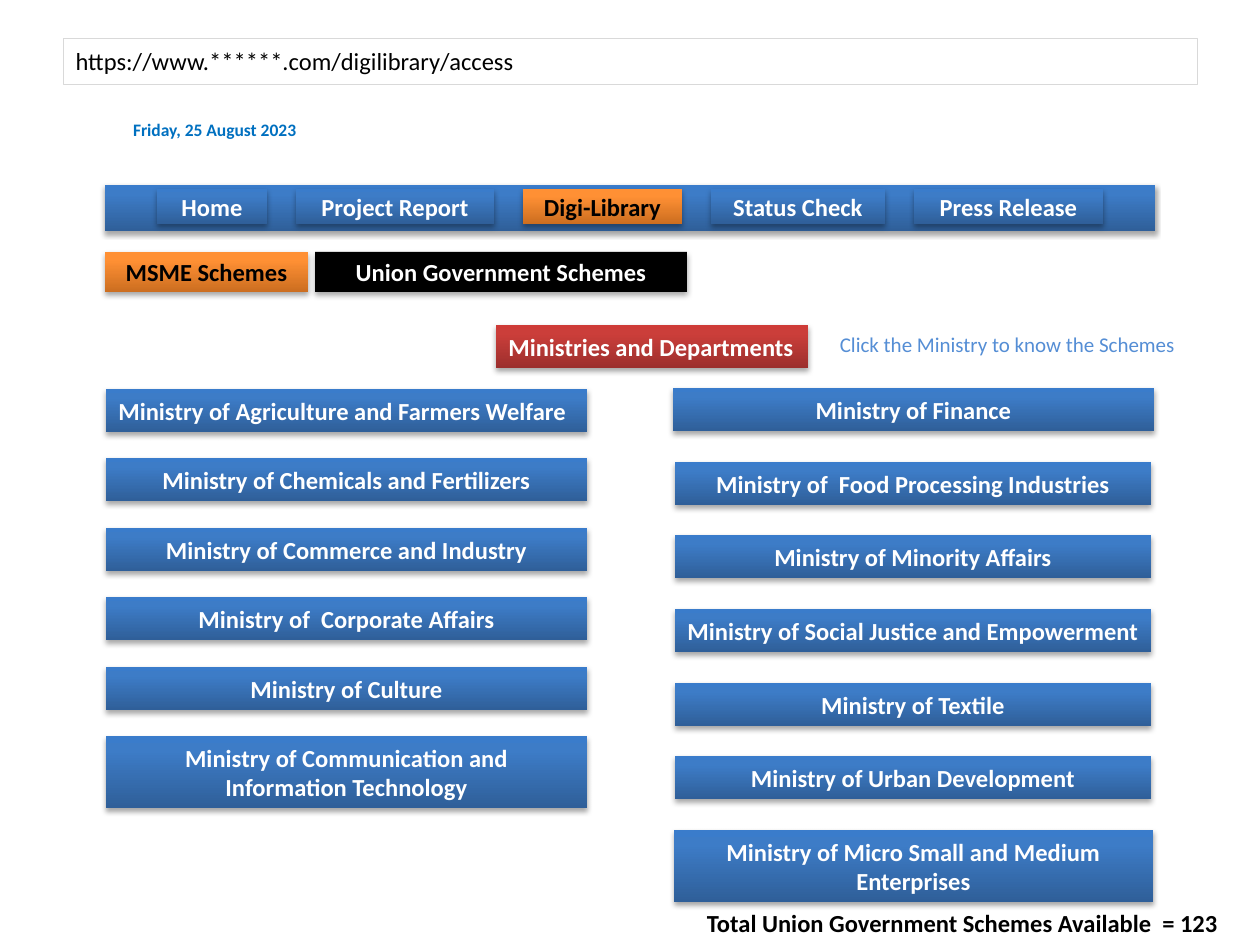
from dataclasses import dataclass
from typing import NamedTuple

from lxml.etree import SubElement
from pptx import Presentation
from pptx.dml.color import RGBColor
from pptx.enum.shapes import MSO_SHAPE
from pptx.enum.text import MSO_ANCHOR, PP_ALIGN
from pptx.oxml.ns import qn
from pptx.util import Emu, Pt

PX_PER_INCH = 126
TITLE_ONLY_LAYOUT = 5


class Box(NamedTuple):
    left: int
    top: int
    width: int
    height: int


class Gradient(NamedTuple):
    bottom: str
    middle: str
    top: str


@dataclass(frozen=True)
class Theme:
    font: str = "Calibri"
    body: int = 14
    hint: int = 12
    date: int = 10
    black: str = "000000"
    white: str = "FFFFFF"
    date_blue: str = "0070C0"
    hint_blue: str = "558ED5"
    border: str = "D9D9D9"
    blue: Gradient = Gradient("2F5F99", "3D7CC7", "3A7CCB")
    orange: Gradient = Gradient("CC6E20", "FF9034", "FF9136")
    red: Gradient = Gradient("9C2F2D", "CB3E3A", "CE3B37")


THEME = Theme()


class Tab(NamedTuple):
    label: str
    width: int
    active: bool = False


class Ministry(NamedTuple):
    name: str
    width: int = 481
    align: PP_ALIGN = PP_ALIGN.CENTER


class Column(NamedTuple):
    centre: int
    first_top: int
    last_top: int
    ministries: list[Ministry]


class Label(NamedTuple):
    text: str
    box: Box
    size: int
    color: str
    bold: bool
    anchor: MSO_ANCHOR = MSO_ANCHOR.TOP


TABS = [
    Tab("Home", 110),
    Tab("Project Report", 198),
    Tab("Digi-Library", 159, active=True),
    Tab("Status Check", 174),
    Tab("Press Release", 189),
]
TABS_LEFT, TABS_TOP, TAB_HEIGHT, TAB_GAP = 157, 189, 35, 29

COLUMNS = [
    Column(346, 389, 736, [
        Ministry("Ministry of Agriculture and Farmers Welfare", align=PP_ALIGN.LEFT),
        Ministry("Ministry of Chemicals and Fertilizers"),
        Ministry("Ministry of Commerce and Industry"),
        Ministry("Ministry of  Corporate Affairs"),
        Ministry("Ministry of Culture"),
        Ministry("Ministry of Communication and\nInformation Technology"),
    ]),
    Column(913, 388, 830, [
        Ministry("Ministry of Finance"),
        Ministry("Ministry of  Food Processing Industries", 476),
        Ministry("Ministry of Minority Affairs", 476),
        Ministry("Ministry of Social Justice and Empowerment", 476),
        Ministry("Ministry of Textile", 476),
        Ministry("Ministry of Urban Development", 476),
        Ministry("Ministry of Micro Small and Medium\nEnterprises", 479),
    ]),
]
ONE_LINE_HEIGHT, TWO_LINE_HEIGHT = 43, 72

LABELS = [
    Label("Friday, 25 August 2023", Box(93, 112, 243, 35), THEME.date,
          THEME.date_blue, True, MSO_ANCHOR.MIDDLE),
    Label("Click the Ministry to know the Schemes", Box(809, 325, 397, 43),
          THEME.hint, THEME.hint_blue, False),
    Label("Total Union Government Schemes Available  = 123",
          Box(665, 902, 595, 43), THEME.body, THEME.black, True),
]


def px(length: int) -> Emu:
    return Emu(round(length * 914400 / PX_PER_INCH))


def emu_box(box: Box) -> list[Emu]:
    return [px(length) for length in box]


def write_text(frame, text: str, color: str, size: int = THEME.body,
               bold: bool = True, align: PP_ALIGN = PP_ALIGN.CENTER) -> None:
    frame.word_wrap = True
    frame.text = text
    for paragraph in frame.paragraphs:
        paragraph.alignment = align
        paragraph.font.name = THEME.font
        paragraph.font.size = Pt(size)
        paragraph.font.bold = bold
        paragraph.font.color.rgb = RGBColor.from_string(color)


def fill_gradient(shape, gradient: Gradient) -> None:
    shape.fill.gradient()
    shape.fill.gradient_angle = 90
    stops = shape.element.spPr.find(".//" + qn("a:gsLst"))
    for stop in list(stops):
        stops.remove(stop)
    for position, color in zip((0, 80000, 100000), gradient):
        stop = SubElement(stops, qn("a:gs"), pos=str(position))
        SubElement(stop, qn("a:srgbClr"), val=color)


def add_soft_shadow(shape) -> None:
    shape.shadow.inherit = False
    effects = shape.element.spPr.find(qn("a:effectLst"))
    shadow = SubElement(effects, qn("a:outerShdw"), blurRad="40000",
                        dist="23000", dir="5400000", rotWithShape="0")
    color = SubElement(shadow, qn("a:srgbClr"), val=THEME.black)
    SubElement(color, qn("a:alpha"), val="35000")


def add_button(slide, box: Box, fill: Gradient | str, text: str = "",
               color: str = THEME.white, align: PP_ALIGN = PP_ALIGN.CENTER) -> None:
    button = slide.shapes.add_shape(MSO_SHAPE.RECTANGLE, *emu_box(box))
    if isinstance(fill, Gradient):
        fill_gradient(button, fill)
    else:
        button.fill.solid()
        button.fill.fore_color.rgb = RGBColor.from_string(fill)
    button.line.fill.background()
    add_soft_shadow(button)
    if text:
        write_text(button.text_frame, text, color, align=align)


def add_label(slide, label: Label) -> None:
    frame = slide.shapes.add_textbox(*emu_box(label.box)).text_frame
    frame.vertical_anchor = label.anchor
    write_text(frame, label.text, label.color, label.size, label.bold)


def add_address_bar(slide) -> None:
    address = slide.shapes.title
    address.left, address.top, address.width, address.height = emu_box(
        Box(63, 38, 1134, 46))
    address.line.color.rgb = RGBColor.from_string(THEME.border)
    address.line.width = Pt(0.25)
    address.text_frame.vertical_anchor = MSO_ANCHOR.MIDDLE
    write_text(address.text_frame, "https://www.******.com/digilibrary/access",
               THEME.black, bold=False, align=PP_ALIGN.LEFT)


def add_navigation(slide) -> None:
    add_button(slide, Box(105, 185, 1050, 46), THEME.blue)
    left = TABS_LEFT
    for tab in TABS:
        fill, color = ((THEME.orange, THEME.black) if tab.active
                       else (THEME.blue, THEME.white))
        add_button(slide, Box(left, TABS_TOP, tab.width, TAB_HEIGHT), fill, tab.label, color)
        left += tab.width + TAB_GAP


def add_column(slide, column: Column) -> None:
    pitch = (column.last_top - column.first_top) / (len(column.ministries) - 1)
    for row, ministry in enumerate(column.ministries):
        height = TWO_LINE_HEIGHT if "\n" in ministry.name else ONE_LINE_HEIGHT
        box = Box(column.centre - ministry.width // 2,
                  round(column.first_top + row * pitch), ministry.width, height)
        add_button(slide, box, THEME.blue, ministry.name, align=ministry.align)


def main() -> None:
    presentation = Presentation()
    presentation.slide_width, presentation.slide_height = px(1260), px(945)
    slide = presentation.slides.add_slide(presentation.slide_layouts[TITLE_ONLY_LAYOUT])

    # Address bar and site navigation
    add_address_bar(slide)
    add_navigation(slide)

    # Scheme choice and section heading
    add_button(slide, Box(105, 252, 203, 40), THEME.orange, "MSME Schemes", THEME.black)
    add_button(slide, Box(315, 252, 372, 40), THEME.black, "Union Government Schemes")
    add_button(slide, Box(496, 325, 312, 43), THEME.red,
               "Ministries and Departments", align=PP_ALIGN.LEFT)

    # Ministries
    for column in COLUMNS:
        add_column(slide, column)

    # Date, hint and total
    for label in LABELS:
        add_label(slide, label)

    presentation.save("out.pptx")


if __name__ == "__main__":
    main()
